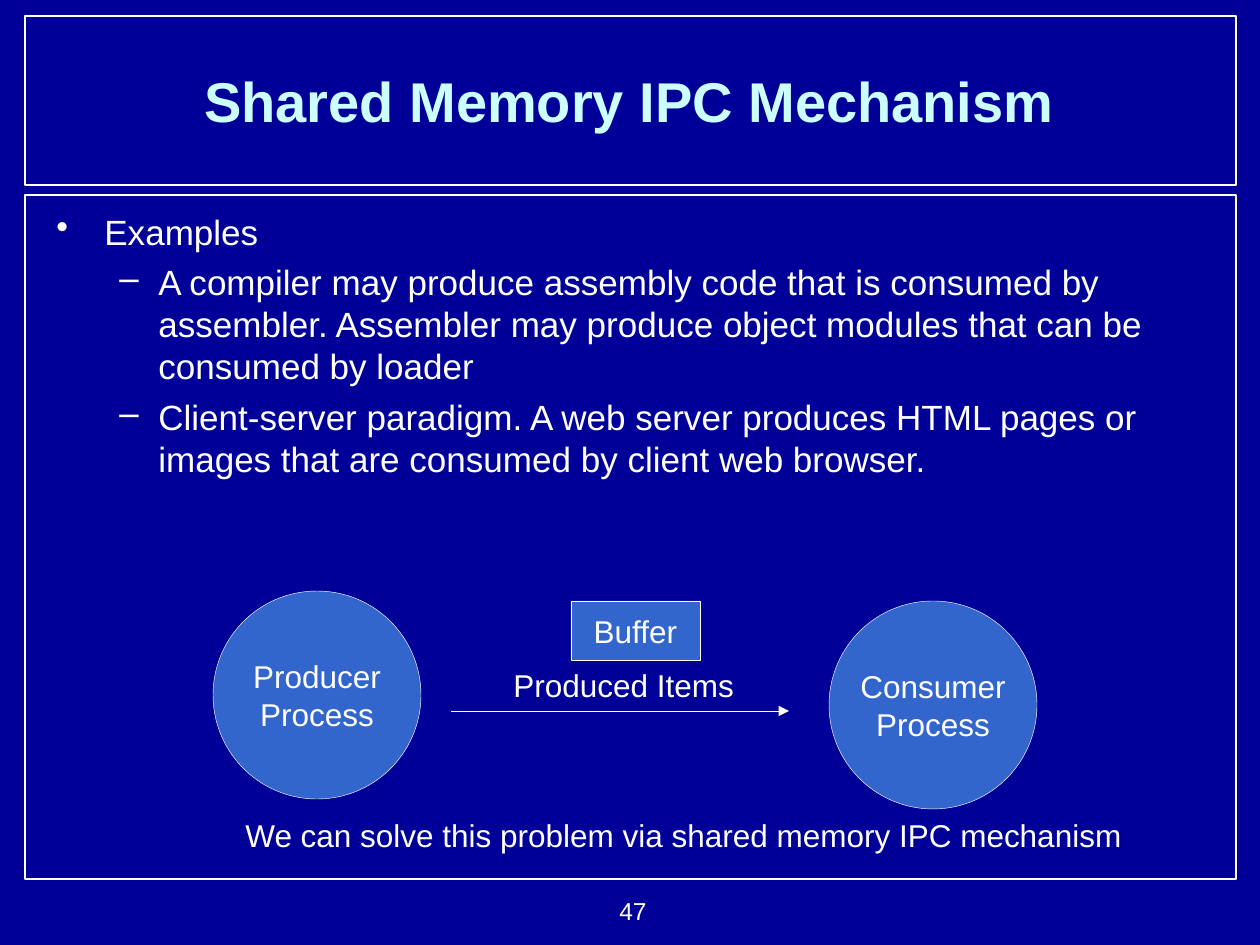
import dataclasses
import pptx
import pptx.dml.color
import pptx.enum.shapes
import pptx.enum.text
import pptx.oxml.ns
import pptx.util
from lxml import etree

SHAPE = pptx.enum.shapes.MSO_SHAPE
ALIGN = pptx.enum.text.PP_ALIGN
MIDDLE = pptx.enum.text.MSO_ANCHOR.MIDDLE
GROW = pptx.enum.text.MSO_AUTO_SIZE.SHAPE_TO_FIT_TEXT
SCALE = 914400 / 126


@dataclasses.dataclass(frozen=True)
class Theme:
    back: str = "000099"
    fill: str = "3366CC"
    ink: str = "FFFFFF"
    head: str = "CCFFFF"
    font: str = "Arial"
    title: int = 32
    body: int = 20
    label: int = 18
    page: int = 14


def emu(*px):
    return [round(n * SCALE) for n in px]


def color(code):
    return pptx.dml.color.RGBColor.from_string(code)


def child(node, tag, **attrs):
    return etree.SubElement(node, pptx.oxml.ns.qn(tag), attrs)


class Deck:
    def __init__(self, theme):
        self.theme = theme
        self.show = pptx.Presentation()
        self.show.slide_width, self.show.slide_height = emu(1260, 945)
        self.slide = self.show.slides.add_slide(self.show.slide_layouts[6])
        fill = self.slide.background.fill
        fill.solid()
        fill.fore_color.rgb = color(theme.back)

    def style(self, para, size, tint=None, bold=False):
        look = {"name": self.theme.font, "size": pptx.util.Pt(size), "bold": bold}
        for run in para.runs:
            for key, value in look.items():
                setattr(run.font, key, value)
            run.font.color.rgb = color(tint or self.theme.ink)

    def label(self, frame, text, size, align=ALIGN.LEFT, tint=None, bold=False, **form):
        for key, value in form.items():
            setattr(frame, key, value)
        para = frame.paragraphs[0]
        para.text = text
        para.alignment = align
        self.style(para, size, tint, bold)

    def text(self, box, words, size, **form):
        frame = self.slide.shapes.add_textbox(*emu(*box)).text_frame
        self.label(frame, words, size, **form)

    def bullets(self, box, items):
        """Each item is (level, text)."""
        marks = {0: ("•", 48, -48), 1: ("–", 102, -39)}
        frame = self.slide.shapes.add_textbox(*emu(*box)).text_frame
        frame.word_wrap = True
        for pos, (level, words) in enumerate(items):
            para = frame.add_paragraph() if pos else frame.paragraphs[0]
            mark, left, hang = marks[level]
            para.text = words
            para.level = level
            if pos:
                para.space_before = pptx.util.Pt(5)
            props = para._p.get_or_add_pPr()
            for key, value in zip(("marL", "indent"), emu(left, hang)):
                props.set(key, str(value))
            child(child(props, "a:buClr"), "a:srgbClr", val=self.theme.ink)
            child(props, "a:buChar", char=mark)
            self.style(para, self.theme.body)

    def shape(self, kind, box, width, fill=None, words=None):
        item = self.slide.shapes.add_shape(kind, *emu(*box))
        item.shadow.inherit = False
        item.line.color.rgb = color(self.theme.ink)
        item.line.width = pptx.util.Pt(width)
        if fill:
            item.fill.solid()
            item.fill.fore_color.rgb = color(fill)
        else:
            item.fill.background()
        if words:
            self.label(item.text_frame, words, self.theme.label, ALIGN.CENTER,
                       vertical_anchor=MIDDLE, word_wrap=False)

    def arrow(self, start, end, width):
        kind = pptx.enum.shapes.MSO_CONNECTOR.STRAIGHT
        item = self.slide.shapes.add_connector(kind, *emu(*start, *end))
        item.line.color.rgb = color(self.theme.ink)
        item.line.width = pptx.util.Pt(width)
        props = item._element.spPr
        child(props.find(pptx.oxml.ns.qn("a:ln")), "a:tailEnd", type="triangle")
        child(props, "a:effectLst")


def main():
    theme = Theme()
    deck = Deck(theme)

    # Frames and page number
    for top, high in ((16, 169), (195, 684)):
        deck.shape(SHAPE.RECTANGLE, (25, top, 1211, high), 0.75)
    deck.text((528, 890, 131, 43), "47", theme.page, align=ALIGN.RIGHT, word_wrap=True)

    # Title and examples
    deck.text((44, 21, 1171, 158), "Shared Memory IPC Mechanism", theme.title,
              align=ALIGN.CENTER, tint=theme.head, bold=True,
              vertical_anchor=MIDDLE, word_wrap=True)
    deck.bullets((44, 204, 1171, 645), [
        (0, "Examples"),
        (1, "A compiler may produce assembly code that is consumed by assembler. "
            "Assembler may produce object modules that can be consumed by loader"),
        (1, "Client-server paradigm. A web server produces HTML pages or images "
            "that are consumed by client web browser."),
    ])

    # Producer, consumer and the flow between them
    for left, top, words in ((213, 591, "Producer\nProcess"), (829, 601, "Consumer\nProcess")):
        deck.shape(SHAPE.OVAL, (left, top, 208, 208), 0.25, theme.fill, words)
    deck.arrow((451, 711), (789, 711), 0.25)

    # Labels
    for box, words in (
        ((501, 660, 246, 50), "Produced Items"),
        ((233, 810, 902, 50), "We can solve this problem via shared memory IPC mechanism"),
    ):
        deck.text(box, words, theme.label, word_wrap=False, auto_size=GROW)

    # Buffer
    deck.shape(SHAPE.RECTANGLE, (571, 601, 129, 59), 0.25, theme.fill, "Buffer")

    deck.show.save("out.pptx")


if __name__ == "__main__":
    main()
